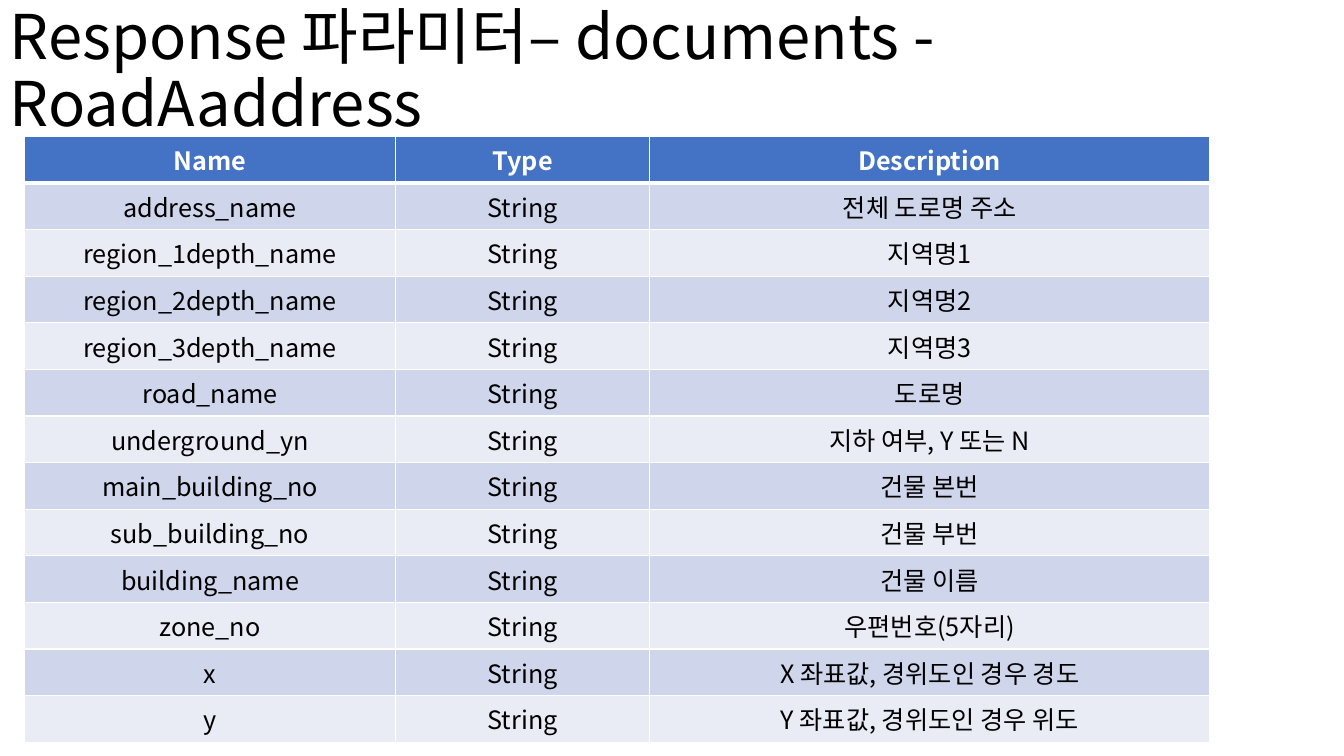
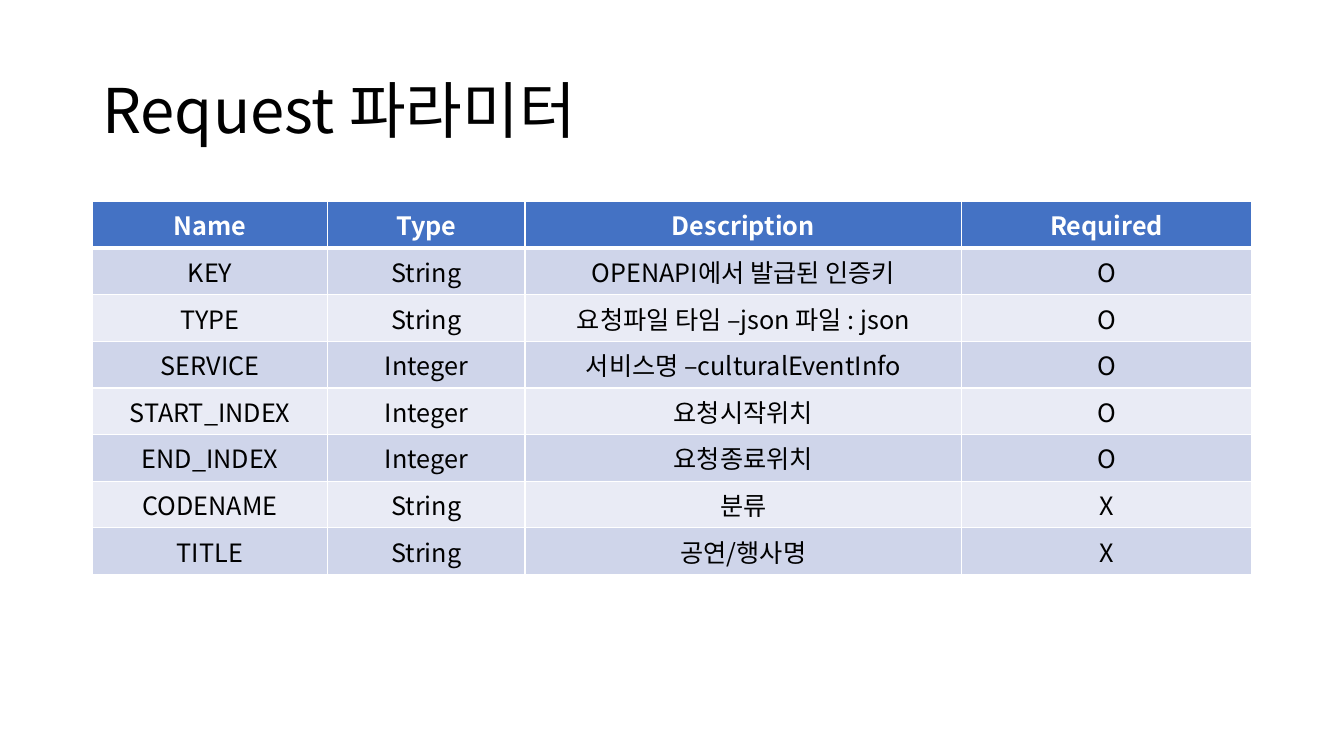
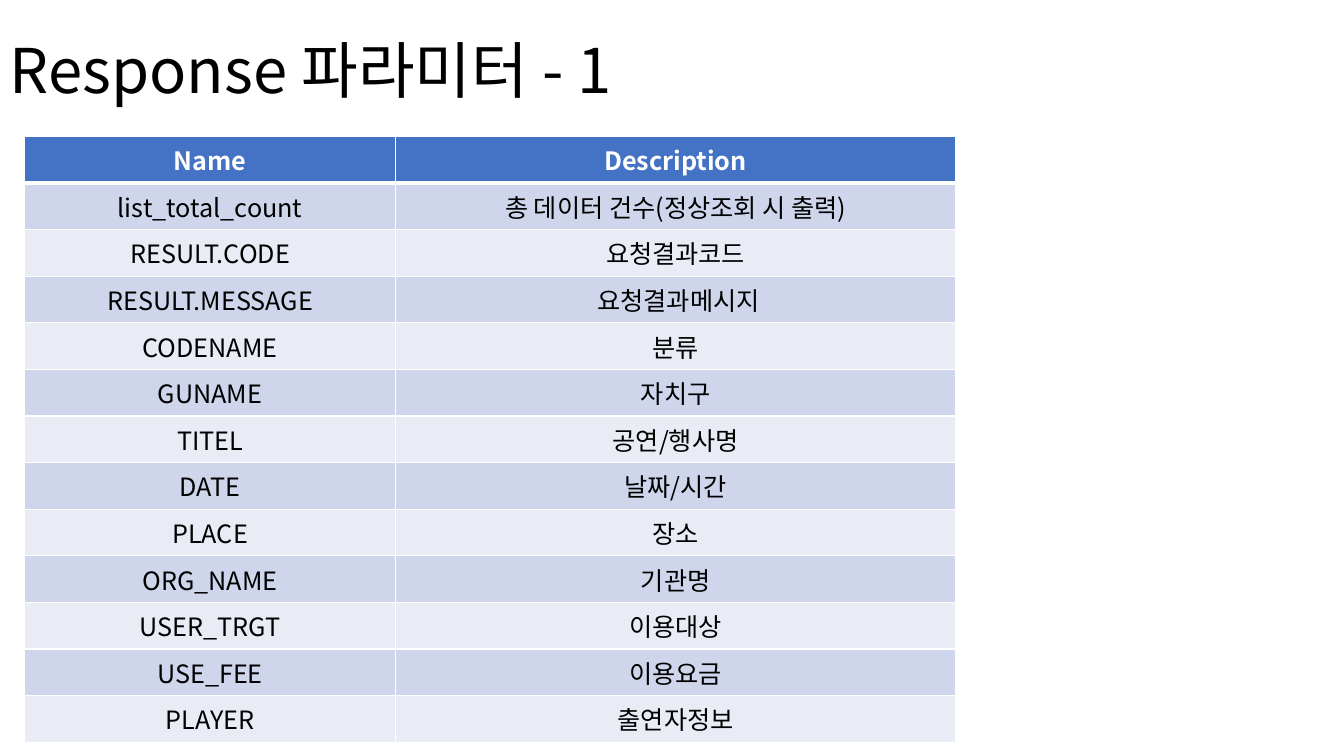
from lxml.etree import SubElement
from pptx import Presentation
from pptx.dml.color import RGBColor
from pptx.enum.text import MSO_ANCHOR, MSO_AUTO_SIZE, PP_ALIGN
from pptx.oxml.ns import qn
from pptx.util import Pt


def color(value):
    return RGBColor.from_string(value)


class Deck:
    FONT = "Noto Sans CJK KR"
    LINE = "FFFFFF"
    HEAD_FILL = "4472C4"
    BAND_FILLS = ("E9EBF5", "CFD5EA")
    TITLE = {"size": Pt(44), "bold": False, "color": "000000"}
    HEAD = {"size": Pt(18), "bold": True, "color": "FFFFFF"}
    BODY = {"size": Pt(18), "bold": False, "color": "000000"}
    ROW_HEIGHT = 29.2

    def __init__(self, prs):
        self.prs = prs
        self.s = None

    def slide(self):
        self.s = self.prs.slides.add_slide(self.prs.slide_layouts[6])

    def add_text(self, p, text, style):
        r = p.add_run()
        r.text = text
        for key, value in style.items():
            if key == "color":
                r.font.color.rgb = color(value)
            else:
                setattr(r.font, key, value)
        r.font.name = self.FONT
        SubElement(r._r.get_or_add_rPr(), qn("a:ea"), typeface=self.FONT)

    def title(self, text, left, top):
        sp = self.s.shapes.add_textbox(Pt(left), Pt(top), Pt(828), Pt(104.4))
        tf = sp.text_frame
        frame = {"word_wrap": True, "auto_size": MSO_AUTO_SIZE.NONE,
                 "vertical_anchor": MSO_ANCHOR.MIDDLE}
        for key, value in frame.items():
            setattr(tf, key, value)
        p = tf.paragraphs[0]
        p.line_spacing = 0.9
        self.add_text(p, text, self.TITLE)

    def borders(self, cell, widths):
        tcPr = cell._tc.get_or_add_tcPr()
        for side, width in widths.items():
            ln = SubElement(tcPr, qn(f"a:ln{side}"), w=str(int(Pt(width))))
            fill = SubElement(ln, qn("a:solidFill"))
            SubElement(fill, qn("a:srgbClr"), val=self.LINE)

    def table(self, left, top, widths, rows):
        sp = self.s.shapes.add_table(
            len(rows), len(widths), Pt(left), Pt(top),
            Pt(sum(widths)), Pt(self.ROW_HEIGHT * len(rows)))
        table = sp.table
        for column, width in zip(table.columns, widths):
            column.width = Pt(width)
        for i, row in enumerate(rows):
            table.rows[i].height = Pt(self.ROW_HEIGHT)
            fill = self.BAND_FILLS[i % 2] if i else self.HEAD_FILL
            sides = {"L": 1, "R": 1, "T": 3 if i == 1 else 1, "B": 1 if i else 3}
            for j, text in enumerate(row):
                cell = table.cell(i, j)
                self.borders(cell, sides)
                cell.fill.solid()
                cell.fill.fore_color.rgb = color(fill)
                p = cell.text_frame.paragraphs[0]
                p.alignment = PP_ALIGN.CENTER
                self.add_text(p, text, self.BODY if i else self.HEAD)


ROAD_ADDRESS = [
    ("address_name", "전체 도로명 주소"),
    ("region_1depth_name", "지역명1"),
    ("region_2depth_name", "지역명2"),
    ("region_3depth_name", "지역명3"),
    ("road_name", "도로명"),
    ("underground_yn", "지하 여부, Y 또는 N"),
    ("main_building_no", "건물 본번"),
    ("sub_building_no", "건물 부번"),
    ("building_name", "건물 이름"),
    ("zone_no", "우편번호(5자리)"),
    ("x", "X 좌표값, 경위도인 경우 경도"),
    ("y", "Y 좌표값, 경위도인 경우 위도"),
]

REQUEST = [
    ("Name", "Type", "Description", "Required"),
    ("KEY", "String", "OPENAPI에서 발급된 인증키", "O"),
    ("TYPE", "String", "요청파일 타임 –json 파일 : json", "O"),
    ("SERVICE", "Integer", "서비스명 –culturalEventInfo", "O"),
    ("START_INDEX", "Integer", "요청시작위치", "O"),
    ("END_INDEX", "Integer", "요청종료위치", "O"),
    ("CODENAME", "String", "분류", "X"),
    ("TITLE", "String", "공연/행사명", "X"),
]

RESPONSE = [
    ("Name", "Description"),
    ("list_total_count", "총 데이터 건수(정상조회 시 출력)"),
    ("RESULT.CODE", "요청결과코드"),
    ("RESULT.MESSAGE", " 요청결과메시지"),
    ("CODENAME", "분류"),
    ("GUNAME", "자치구"),
    ("TITEL", "공연/행사명"),
    ("DATE", "날짜/시간"),
    ("PLACE", "장소"),
    ("ORG_NAME", "기관명"),
    ("USER_TRGT", "이용대상"),
    ("USE_FEE", "이용요금"),
    ("PLAYER", "출연자정보"),
]


def main():
    prs = Presentation()
    prs.slide_width, prs.slide_height = Pt(960), Pt(540)
    deck = Deck(prs)

    deck.slide()
    deck.title("Response 파라미터– documents - RoadAaddress", 0, 0)
    rows = [("Name", "Type", "Description")]
    rows += [(name, "String", text) for name, text in ROAD_ADDRESS]
    deck.table(17.6, 97.5, (265, 181.5, 400), rows)

    deck.slide()
    deck.title("Request 파라미터", 66, 28.8)
    deck.table(66, 144, (168, 141, 312, 207), REQUEST)

    deck.slide()
    deck.title("Response 파라미터 - 1", 0, 0)
    deck.table(17.6, 97.5, (265, 400), RESPONSE)

    prs.save("out.pptx")


if __name__ == "__main__":
    main()
